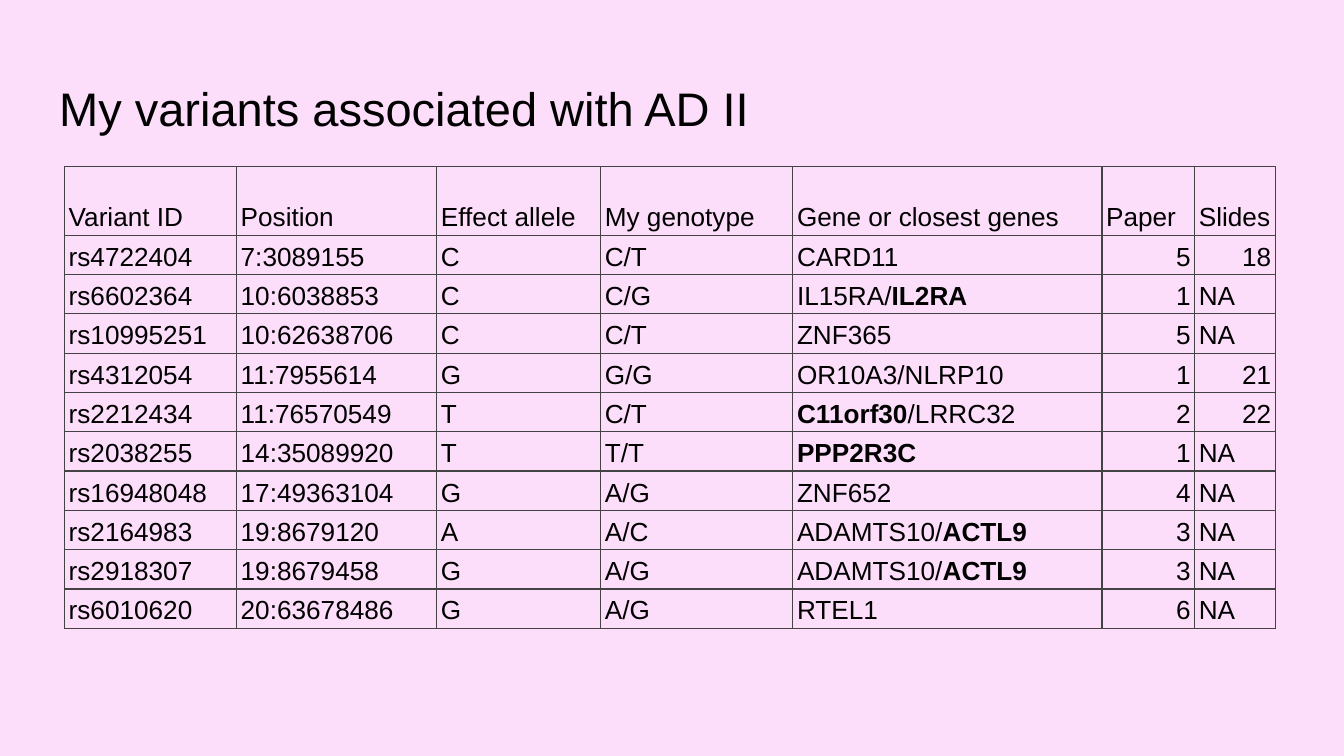
from lxml import etree
from pptx import Presentation
from pptx.dml.color import RGBColor
from pptx.enum.text import MSO_ANCHOR as Anchor, PP_ALIGN as Align
from pptx.oxml.ns import qn
from pptx.util import Inches, Pt

FONT = "Arial"
BLACK, GRID, PINK = "000000", "434343", "FCDDFA"

COL_WIDTHS = [1.28, 1.49, 1.22, 1.43, 2.3, 0.69, 0.6]
HEADER_HEIGHT, ROW_HEIGHT = 0.51, 0.28  # body rows grow to fit their text

# Gene names between asterisks are bold
ROWS = [
    ["Variant ID", "Position", "Effect allele", "My genotype",
     "Gene or closest genes", "Paper", "Slides"],
    ["rs4722404", "7:3089155", "C", "C/T", "CARD11", "5", "18"],
    ["rs6602364", "10:6038853", "C", "C/G", "IL15RA/*IL2RA*", "1", "NA"],
    ["rs10995251", "10:62638706", "C", "C/T", "ZNF365", "5", "NA"],
    ["rs4312054", "11:7955614", "G", "G/G", "OR10A3/NLRP10", "1", "21"],
    ["rs2212434", "11:76570549", "T", "C/T", "*C11orf30*/LRRC32", "2", "22"],
    ["rs2038255", "14:35089920", "T", "T/T", "*PPP2R3C*", "1", "NA"],
    ["rs16948048", "17:49363104", "G", "A/G", "ZNF652", "4", "NA"],
    ["rs2164983", "19:8679120", "A", "A/C", "ADAMTS10/*ACTL9*", "3", "NA"],
    ["rs2918307", "19:8679458", "G", "A/G", "ADAMTS10/*ACTL9*", "3", "NA"],
    ["rs6010620", "20:63678486", "G", "A/G", "RTEL1", "6", "NA"],
]


def rgb(value):
    return RGBColor.from_string(value)


def add_run(p, text, size, bold=False):
    r = p.add_run()
    r.text = text
    r.font.name, r.font.size, r.font.bold = FONT, Pt(size), bold
    r.font.color.rgb = rgb(BLACK)


def set_title(slide, text):
    sp = slide.shapes.title
    sp.left, sp.top = Inches(0.34), Inches(0.49)
    sp.width, sp.height = Inches(9.32), Inches(0.63)
    tf = sp.text_frame
    tf.margin_left = tf.margin_right = Inches(0.1)
    tf.margin_top = tf.margin_bottom = Inches(0.1)
    tf.vertical_anchor = Anchor.TOP
    p = tf.paragraphs[0]
    p.alignment = Align.LEFT
    add_run(p, text, 25.2)


def add_borders(cell, color, width):
    tc_pr = cell._tc.get_or_add_tcPr()
    for side in ("lnL", "lnR", "lnT", "lnB"):
        ln = etree.SubElement(tc_pr, qn(f"a:{side}"), w=str(Pt(width)))
        fill = etree.SubElement(ln, qn("a:solidFill"))
        etree.SubElement(fill, qn("a:srgbClr"), val=color)


def fill_cell(cell, text):
    add_borders(cell, GRID, 0.75)
    cell.fill.background()
    cell.vertical_anchor = Anchor.BOTTOM
    cell.margin_left = cell.margin_right = Inches(1 / 32)
    cell.margin_top = cell.margin_bottom = Inches(1 / 48)
    p = cell.text_frame.paragraphs[0]
    p.alignment = Align.RIGHT if text.isdigit() else Align.LEFT
    p.line_spacing = 1.15
    for i, part in enumerate(text.split("*")):
        if part:
            add_run(p, part, 14, bold=i % 2 == 1)


def add_variant_table(slide):
    heights = [HEADER_HEIGHT] + [ROW_HEIGHT] * (len(ROWS) - 1)
    table = slide.shapes.add_table(
        len(ROWS), len(COL_WIDTHS), Inches(0.48), Inches(1.24),
        Inches(sum(COL_WIDTHS)), Inches(sum(heights))).table
    table.first_row = table.horz_banding = False
    for col, width in zip(table.columns, COL_WIDTHS):
        col.width = Inches(width)
    for row, height, texts in zip(table.rows, heights, ROWS):
        row.height = Inches(height)
        for cell, text in zip(row.cells, texts):
            fill_cell(cell, text)


def main():
    prs = Presentation()
    prs.slide_width = Inches(10)
    prs.slide_height = Inches(10 * 9 / 16)
    slide = prs.slides.add_slide(prs.slide_layouts[5])

    # Background
    slide.background.fill.solid()
    slide.background.fill.fore_color.rgb = rgb(PINK)

    # Title and table
    set_title(slide, "My variants associated with AD II")
    add_variant_table(slide)

    prs.save("out.pptx")


if __name__ == "__main__":
    main()
